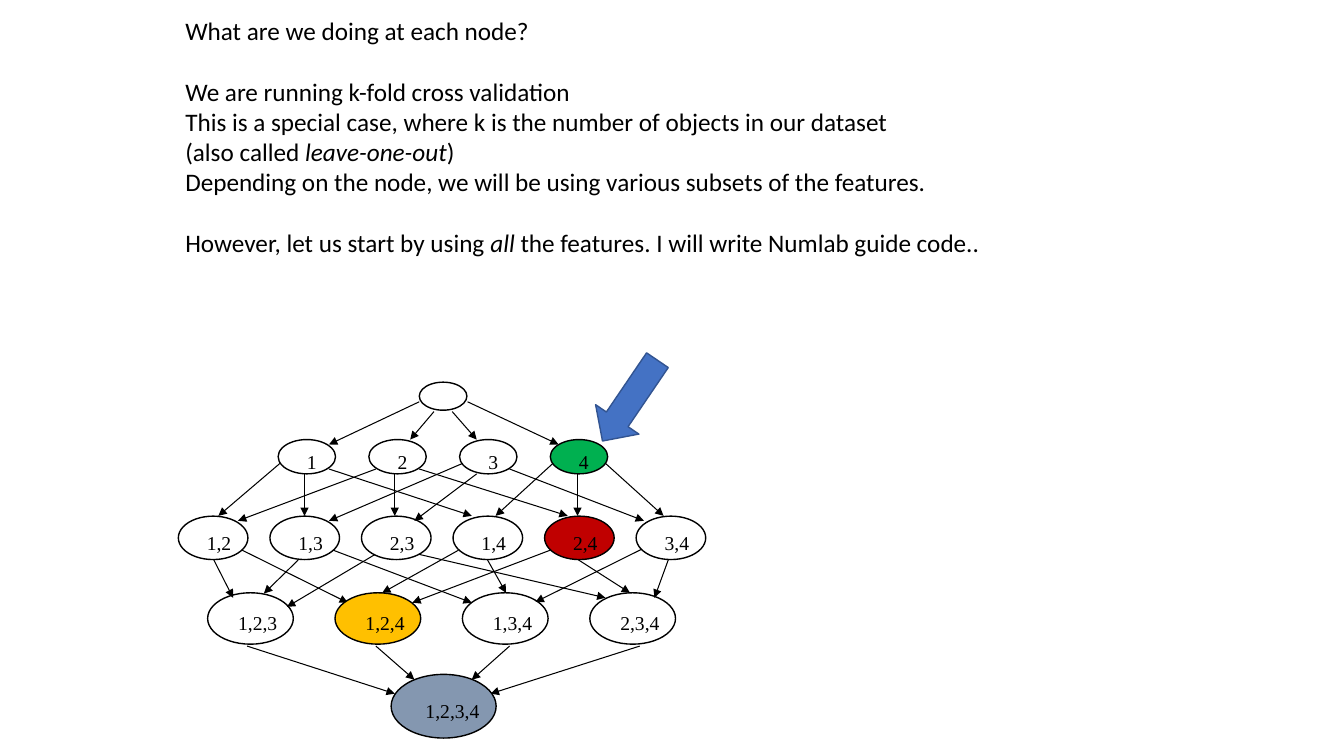
from dataclasses import dataclass, field

from lxml import etree
from pptx import Presentation
from pptx.dml.color import RGBColor
from pptx.enum import shapes, text
from pptx.oxml import ns
from pptx.util import Pt


@dataclass(frozen=True)
class Theme:
    ink: RGBColor = RGBColor(0, 0, 0)
    arrow_fill: RGBColor = RGBColor(0x44, 0x72, 0xC4)
    arrow_line: RGBColor = RGBColor(0x32, 0x54, 0x91)
    highlights: dict = field(default_factory=lambda: {
        "4": RGBColor(0x00, 0xB0, 0x50),
        "2,4": RGBColor(0xC0, 0x00, 0x00),
        "1,2,4": RGBColor(0xFF, 0xC0, 0x00),
        "1,2,3,4": RGBColor(0x84, 0x97, 0xB0),
    })
    prose: dict = field(default_factory=lambda: {"name": "Calibri", "size": Pt(18)})
    label: dict = field(default_factory=lambda: {"name": "Times New Roman", "size": Pt(14)})
    edge_width: float = 0.75
    outline_width: float = 1


THEME = Theme()

# Each paragraph: space before it, then (wording, italic) pieces
EXPLANATION = [
    (0, [("What are we doing at each node?", False)]),
    (22, [("We are running k-fold cross validation", False)]),
    (0, [("This is a special case, where k is the number of objects in our dataset", False)]),
    (0, [("(also called ", False), ("leave-one-out", True), (")", False)]),
    (0, [("Depending on the node, we will be using various subsets of the features.", False)]),
    (22, [("However, let us start by using ", False), ("all", True),
          (" the features. I will write Numlab guide code..", False)]),
]

# Each level: left, top, pitch, node width, node height, feature subsets
LEVELS = [
    (172.5, 0, 0, 34, 20, [""]),
    (71.7, 41, 64.8, 41, 24.5, ["1", "2", "3", "4"]),
    (0.4, 95.7, 65.4, 49.7, 31, ["1,2", "1,3", "2,3", "1,4", "2,4", "3,4"]),
    (21.3, 150.4, 91, 61.2, 36.7, ["1,2,3", "1,2,4", "1,3,4", "2,3,4"]),
    (152.4, 208.7, 0, 75, 45.5, ["1,2,3,4"]),
]

# Each edge: start x, start y, end x, end y; one row of edges per parent node
EDGES = [
    (172.5, 14, 108, 44.5), (183, 21, 166, 41), (196, 21, 213.5, 41), (207, 14, 272, 44.5),

    (73, 58, 29, 95.5), (90.5, 65.5, 90.5, 95.5), (108, 62, 210, 95.5),
    (141.5, 62, 43, 99), (155, 65.5, 155, 95.5), (172.5, 62, 278.5, 95.5),
    (203.5, 58, 108, 99), (213.5, 65.5, 169, 99), (237, 62, 333, 99),
    (268, 58, 227, 95.5), (285.5, 65.5, 285.5, 95.5), (305.5, 58, 347, 95.5),

    (25.5, 126.5, 39.5, 154), (46, 120, 121.5, 157.5),
    (86, 127, 61.5, 151), (111, 120, 210, 157.5),
    (141, 123, 78, 160.5), (172.5, 123, 305.5, 154),
    (200.5, 120, 146, 150.5), (221, 126.5, 234.5, 150.5),
    (266, 120, 167.5, 157.5), (285.5, 126.5, 323, 150.5),
    (331, 119.5, 255.5, 157), (350.5, 126.5, 340.5, 154),

    (49.5, 188.5, 155, 222.5), (141.5, 188.5, 169, 212.5),
    (237, 188.5, 210, 212.5), (330, 188.5, 223.5, 222.5),
]


def add_run(paragraph, wording, **formats):
    font_run = paragraph.add_run()
    font_run.text = wording
    for name, value in formats.items():
        setattr(font_run.font, name, value)
    font_run.font.color.rgb = THEME.ink


def add_explanation(slide, left, top, width, height):
    frame = slide.shapes.add_textbox(Pt(left), Pt(top), Pt(width), Pt(height)).text_frame
    frame.word_wrap = True
    for index, (gap, pieces) in enumerate(EXPLANATION):
        paragraph = frame.add_paragraph() if index else frame.paragraphs[0]
        paragraph.space_before = Pt(gap)
        for wording, italic in pieces:
            add_run(paragraph, wording, italic=italic, **THEME.prose)


def add_edge(slide, x1, y1, x2, y2):
    edge = slide.shapes.add_connector(
        shapes.MSO_CONNECTOR.STRAIGHT, Pt(x1), Pt(y1), Pt(x2), Pt(y2))
    edge.line.color.rgb = THEME.ink
    edge.line.width = Pt(THEME.edge_width)
    outline = edge.line._get_or_add_ln()
    etree.SubElement(outline, ns.qn("a:tailEnd"), type="triangle")
    etree.SubElement(edge._element.spPr, ns.qn("a:effectLst"))


def add_node(slide, left, top, width, height, subset):
    """Draw one ellipse, filled if highlighted."""
    node = slide.shapes.add_shape(
        shapes.MSO_SHAPE.OVAL, Pt(left), Pt(top), Pt(width), Pt(height))
    node.shadow.inherit = False
    node.line.color.rgb = THEME.ink
    node.line.width = Pt(THEME.outline_width)
    if subset in THEME.highlights:
        node.fill.solid()
        node.fill.fore_color.rgb = THEME.highlights[subset]
    else:
        node.fill.background()


def add_node_label(slide, left, top, width, height, subset):
    """Set the subset slightly right of and below the centre of its node's box."""
    label_width, label_height = 16.2 + 5.25 * len(subset), 24.5
    label_left = left + width * 0.585 - label_width / 2
    label_top = top + height / 2 + 3.6 - label_height / 2
    frame = slide.shapes.add_textbox(
        Pt(label_left), Pt(label_top), Pt(label_width), Pt(label_height)).text_frame
    frame.word_wrap = False
    frame.paragraphs[0].alignment = text.PP_ALIGN.CENTER
    add_run(frame.paragraphs[0], subset, **THEME.label)


def add_feature_lattice(slide, left, top):
    for x1, y1, x2, y2 in EDGES:
        add_edge(slide, left + x1, top + y1, left + x2, top + y2)
    nodes = [(left + x + column * pitch, top + y, width, height, subset)
             for x, y, pitch, width, height, subsets in LEVELS
             for column, subset in enumerate(subsets)]
    for node in nodes:
        add_node(slide, *node)
    for node in nodes:
        if node[-1]:
            add_node_label(slide, *node)


def add_pointer(slide, left, top, width, height):
    pointer = slide.shapes.add_shape(
        shapes.MSO_SHAPE.DOWN_ARROW, Pt(left), Pt(top), Pt(width), Pt(height))
    pointer.rotation = 34.2
    pointer.shadow.inherit = False
    pointer.fill.solid()
    pointer.fill.fore_color.rgb = THEME.arrow_fill
    pointer.line.color.rgb = THEME.arrow_line
    pointer.line.width = Pt(THEME.outline_width)


def main():
    deck = Presentation()
    deck.slide_width, deck.slide_height = Pt(960), Pt(540)
    slide = deck.slides.add_slide(deck.slide_layouts.get_by_name("Blank"))
    add_feature_lattice(slide, 127, 273)
    add_pointer(slide, 431.3, 251.3, 37.4, 69.8)
    add_explanation(slide, 125.3, 7.2, 708.5, 203.8)
    deck.save("out.pptx")


if __name__ == "__main__":
    main()
